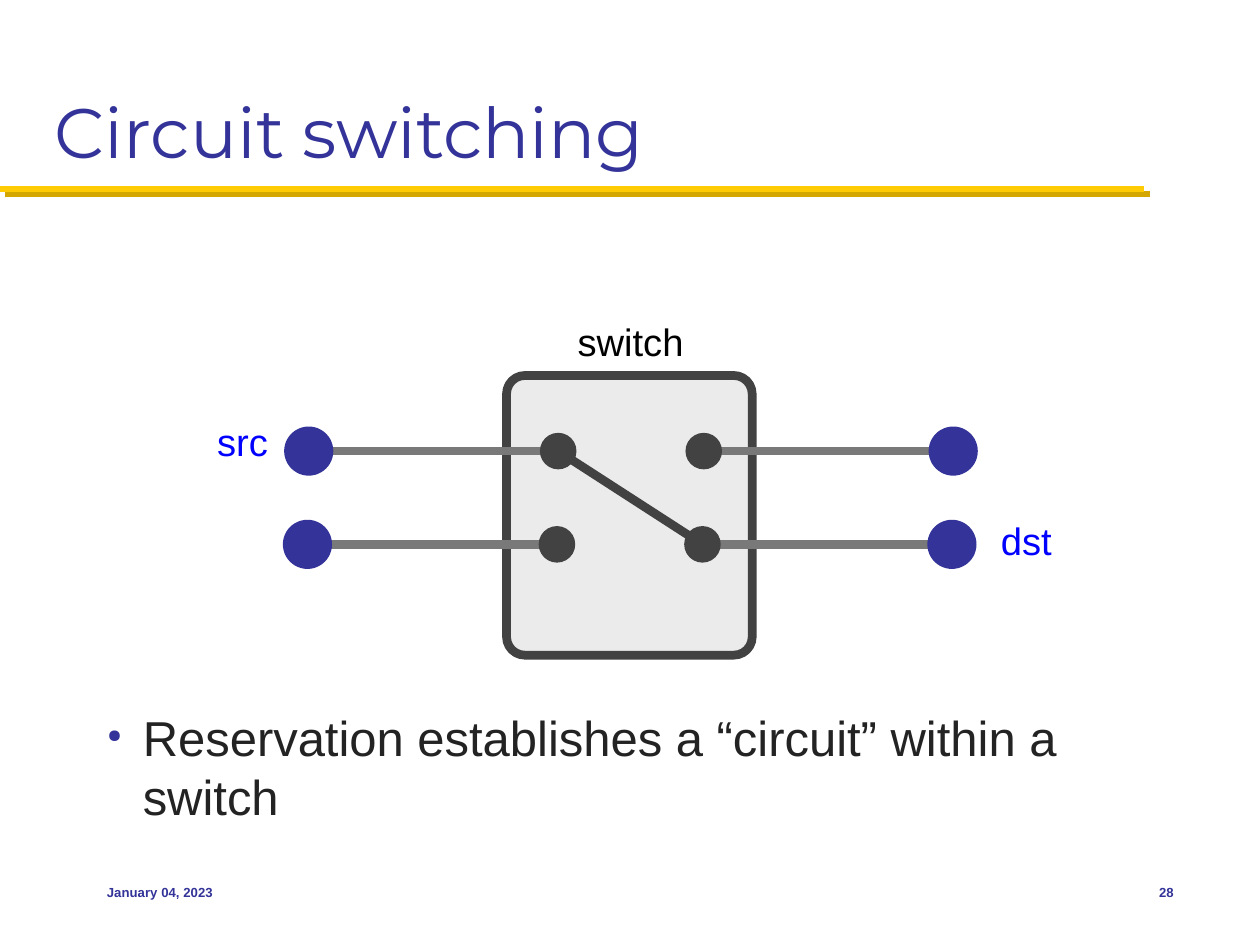
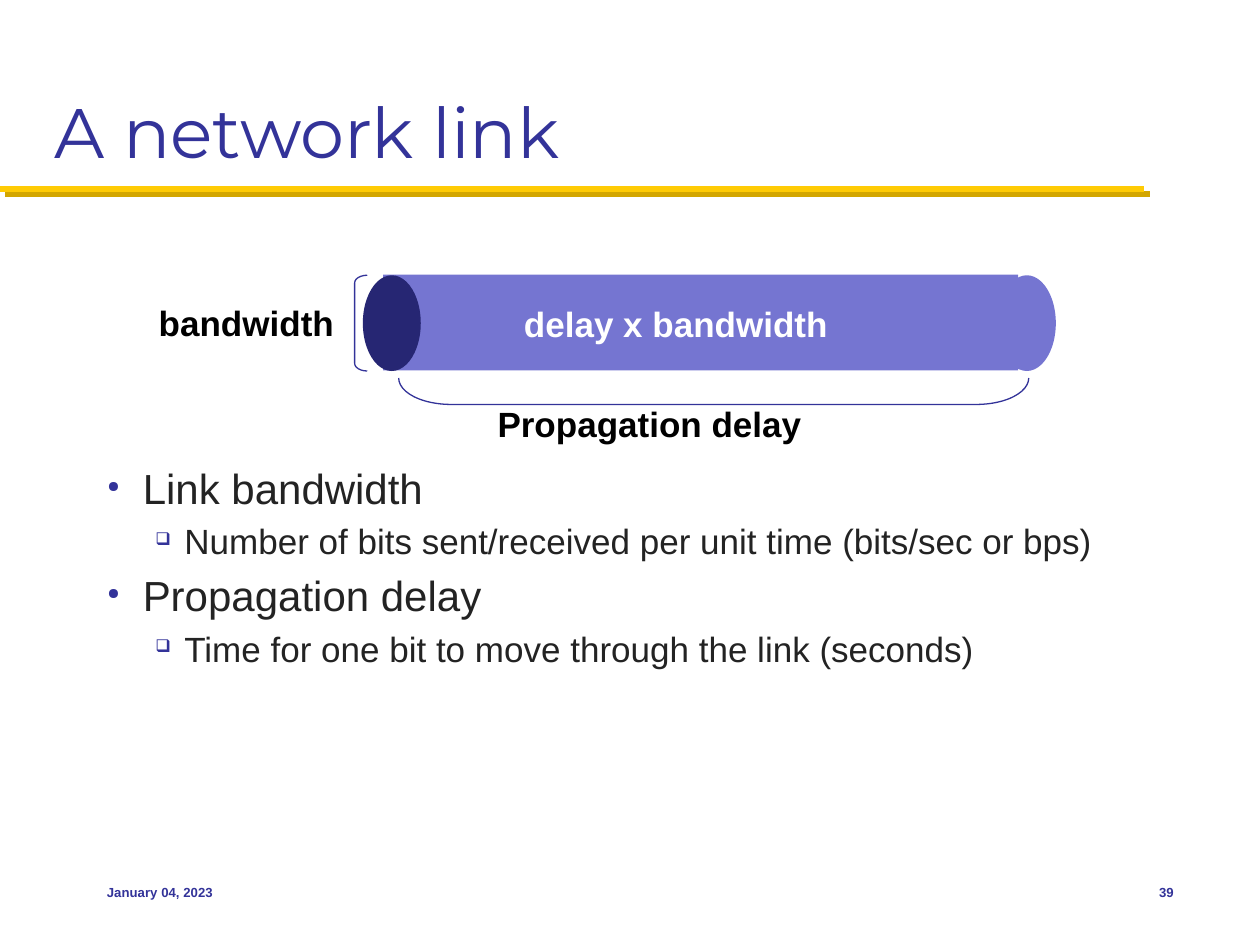
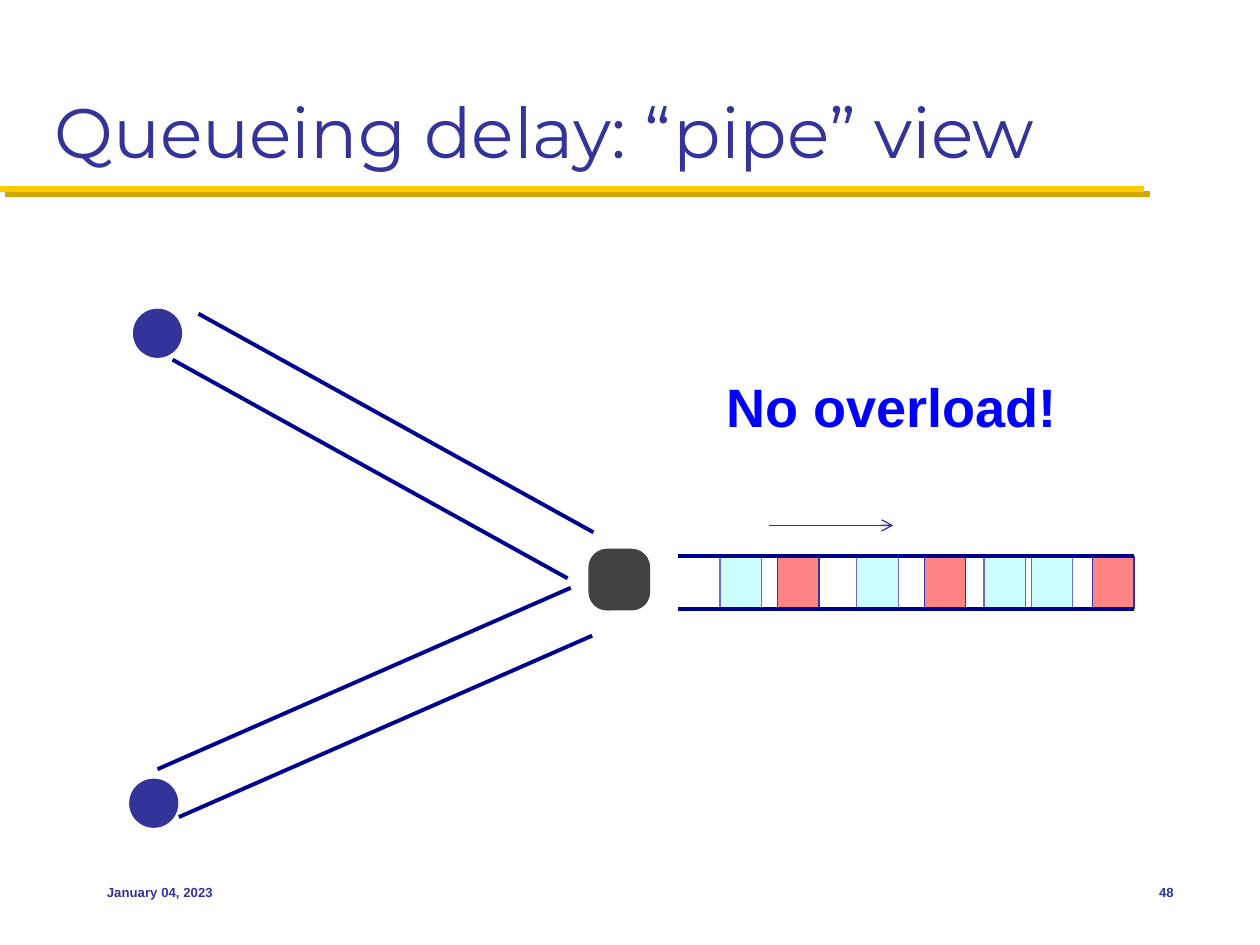
from collections import namedtuple

from lxml import etree
from pptx import Presentation
from pptx.dml.color import RGBColor
from pptx.enum.shapes import MSO_CONNECTOR, MSO_SHAPE
from pptx.enum.text import MSO_ANCHOR, MSO_AUTO_SIZE, PP_ALIGN
from pptx.oxml.ns import qn
from pptx.util import Inches, Pt

STRAIGHT = MSO_CONNECTOR.STRAIGHT
OVAL = MSO_SHAPE.OVAL
RECT = MSO_SHAPE.RECTANGLE
ROUND = MSO_SHAPE.ROUNDED_RECTANGLE
BRACKET = MSO_SHAPE.LEFT_BRACKET
TOP, MIDDLE, BOTTOM = MSO_ANCHOR.TOP, MSO_ANCHOR.MIDDLE, MSO_ANCHOR.BOTTOM
LEFT, CENTER, RIGHT = PP_ALIGN.LEFT, PP_ALIGN.CENTER, PP_ALIGN.RIGHT
FIXED = MSO_AUTO_SIZE.NONE

BLACK = RGBColor(0x00, 0x00, 0x00)
WHITE = RGBColor(0xFF, 0xFF, 0xFF)
INK = RGBColor(0x23, 0x23, 0x23)
INDIGO = RGBColor(0x33, 0x33, 0x99)
BLUE = RGBColor(0x00, 0x00, 0xFF)
NAVY = RGBColor(0x00, 0x00, 0x90)
DUSK = RGBColor(0x26, 0x26, 0x73)
LILAC = RGBColor(0x75, 0x75, 0xD1)
VIOLET = RGBColor(0x6A, 0x6A, 0xCD)
CYAN = RGBColor(0xCC, 0xFF, 0xFF)
CORAL = RGBColor(0xFF, 0x85, 0x85)
GOLD = RGBColor(0xFF, 0xCB, 0x05)
BRASS = RGBColor(0xD3, 0xA6, 0x00)
DARK = RGBColor(0x42, 0x42, 0x42)
GRAY = RGBColor(0x79, 0x79, 0x79)
PALE = RGBColor(0xEB, 0xEB, 0xEB)

WIDTH, HEIGHT = Inches(10), Inches(7.5)
COL, ROW = WIDTH / 100, HEIGHT / 75
HOST = 3.9
BULLETS = [("●", 37, 0.28, 0.28), ("❑", 50, 0.61, 0.23)]

Box = namedtuple("Box", "x y w h")


def inner(box, x, y, w, h):
    return Box(box.x + x, box.y + y, w, h)


def cells(box):
    return round(box.x * COL), round(box.y * ROW), round(box.w * COL), round(box.h * ROW)


def add_run(para, text, size, color, bold=False, face="Arial"):
    run = para.add_run()
    run.text = text
    run.font.name = face
    run.font.size = Pt(size)
    run.font.bold = bold
    run.font.color.rgb = color


def add_text(slide, box, text, size, color, bold=False, align=CENTER, anchor=MIDDLE):
    frame = slide.shapes.add_textbox(*cells(box)).text_frame
    frame.vertical_anchor = anchor
    frame.word_wrap = False
    para = frame.paragraphs[0]
    para.alignment = align
    add_run(para, text, size, color, bold)
    return frame


def add_part(slide, kind, box, fill=None, edge=None, weight=0.75, adjust=None):
    part = slide.shapes.add_shape(kind, *cells(box))
    part.shadow.inherit = False
    if fill is None:
        part.fill.background()
    else:
        part.fill.solid()
        part.fill.fore_color.rgb = fill
    if edge is None:
        part.line.fill.background()
    else:
        part.line.color.rgb = edge
        part.line.width = Pt(weight)
    if adjust is not None:
        part.adjustments[0] = adjust
    return part


def add_dot(slide, x, y, size, fill):
    add_part(slide, OVAL, Box(x - size / 2, y - size / 2, size, size), fill)


def add_line(slide, start, end, color, weight):
    ends = [round(n * unit) for n, unit in zip(start + end, (COL, ROW) * 2)]
    line = slide.shapes.add_connector(STRAIGHT, *ends)
    line.line.color.rgb = color
    line.line.width = Pt(weight)
    effect = etree.SubElement(line._element.spPr, qn("a:effectLst"))
    return line, effect


def add_frame(deck, title, number):
    slide = deck.slides.add_slide(deck.slide_layouts[5])
    effect = add_line(slide, (0, 15), (90.83, 15), GOLD, 3.5)[1]
    shade = etree.SubElement(effect, qn("a:outerShdw"), blurRad="0", dist=str(Pt(4.2)),
                             dir="2700000", algn="tl", rotWithShape="0")
    etree.SubElement(shade, qn("a:srgbClr"), val=str(BRASS))
    head = slide.shapes.title
    head.left, head.top, head.width, head.height = cells(Box(3.33, 1.67, 93.33, 12.5))
    frame = head.text_frame
    frame.auto_size = FIXED
    frame.vertical_anchor = BOTTOM
    para = frame.paragraphs[0]
    para.alignment = LEFT
    add_run(para, title, 40, INDIGO, face="Montserrat")
    add_text(slide, Box(7.5, 68.3, 20.8, 5), "January 04, 2023", 7.5, INDIGO, True, LEFT)
    add_text(slide, Box(87.5, 68.3, 6.65, 5), str(number), 7.5, INDIGO, True, RIGHT)
    return slide


def add_list(slide, box, items):
    frame = slide.shapes.add_textbox(*cells(box)).text_frame
    frame.word_wrap = True
    for i, (level, size, text) in enumerate(items):
        para = frame.add_paragraph() if i else frame.paragraphs[0]
        mark, share, left, hang = BULLETS[level]
        props = para._p.get_or_add_pPr()
        props.set("marL", str(Inches(left)))
        props.set("indent", str(-Inches(hang)))
        tint = etree.SubElement(props, qn("a:buClr"))
        etree.SubElement(tint, qn("a:srgbClr"), val=str(INDIGO))
        etree.SubElement(props, qn("a:buSzPct"), val=str(share * 1000))
        etree.SubElement(props, qn("a:buChar"), char=mark)
        para.level = level
        if i:
            para.space_before = Pt(0.19 * size)
        add_run(para, text, size, INK)


def add_switch(slide, box):
    add_part(slide, ROUND, inner(box, 23.4, 5, 19.5, 22.2), PALE, DARK, 5, 0.075)
    ports = []
    for shift, y in ((0, 11), (-0.1, 18.4)):
        ports.append([(box.x + x + shift, box.y + y) for x in (7.7, 27.5, 39.05, 58.85)])
    add_line(slide, ports[0][1], ports[1][2], DARK, 5)
    for src, near, far, dst in ports:
        add_line(slide, src, near, GRAY, 5)
        add_line(slide, far, dst, GRAY, 5)
        for spot in (src, dst):
            add_dot(slide, *spot, HOST, INDIGO)
        for spot in (near, far):
            add_dot(slide, *spot, 2.9, DARK)
    for text, x, y, w, color in (("switch", 28.6, 0, 9.3, BLACK),
                                 ("src", 0, 8, 4.9, BLUE),
                                 ("dst", 62.2, 15.8, 4.9, BLUE)):
        frame = add_text(slide, inner(box, x, y, w, 4.5), text, 21.8, color)
        frame.margin_left = frame.margin_right = Inches(0.03)
        frame.margin_top = frame.margin_bottom = Inches(0.04)


def add_pipe(slide, box):
    add_part(slide, OVAL, inner(box, 67.7, 0.05, 4.6, 7.6), LILAC)
    add_part(slide, RECT, inner(box, 18.9, 0, 50.4, 7.6), LILAC)
    add_part(slide, OVAL, inner(box, 17.3, 0.05, 4.6, 7.6), DUSK)
    add_part(slide, BRACKET, inner(box, 16.65, 0.05, 1, 7.6), edge=INDIGO, adjust=0.606)
    span = add_part(slide, BRACKET, inner(box, 44.1, -15.75, 2.1, 50), edge=INDIGO, adjust=1.983)
    span.rotation = 270
    for text, x, y, w, color in (("bandwidth", 0, 1.6, 16, BLACK),
                                 ("Propagation delay", 26.8, 9.65, 26.3, BLACK),
                                 ("delay x bandwidth", 28.9, 1.7, 26.3, WHITE)):
        add_text(slide, inner(box, x, y, w, 4.4), text, 20, color, True, RIGHT, TOP)


def add_feed(slide, box, start, gap):
    add_dot(slide, box.x + HOST / 2, box.y + HOST / 2, HOST, INDIGO)
    for n in range(2):
        x = box.x + start[0] + n * gap[0]
        y = box.y + start[1] + n * gap[1]
        add_line(slide, (x, y), (x + box.w, y + box.h), NAVY, 2.25)


def add_queue(slide, box):
    for fill, edge, spots in ((CYAN, VIOLET, (3.35, 14.2, 24.3, 28.05)),
                              (CORAL, INDIGO, (7.9, 19.55, 32.9))):
        for x in spots:
            add_part(slide, RECT, inner(box, x, 0, 3.3, box.h), fill, edge)
    for y in (box.y, box.y + box.h):
        add_line(slide, (box.x, y), (box.x + box.w, y), NAVY, 2.25)
    y = box.y - 2.45
    arrow = add_line(slide, (box.x + 7.25, y), (box.x + 17.1, y), INDIGO, 0.75)[0]
    etree.SubElement(arrow.line._get_or_add_ln(), qn("a:tailEnd"), type="arrow")


def main():
    deck = Presentation()
    deck.slide_width, deck.slide_height = WIDTH, HEIGHT

    slide = add_frame(deck, "Circuit switching", 28)
    add_switch(slide, Box(16.8, 24.8, 67.1, 27.2))
    add_list(slide, Box(7.55, 55.7, 86.7, 10),
             [(0, 28, "Reservation establishes a “circuit” within a switch")])

    slide = add_frame(deck, "A network link", 39)
    add_pipe(slide, Box(11.5, 21.8, 72.3, 14.1))
    add_list(slide, Box(7.55, 36.25, 86.7, 29.4), [
        (0, 24, "Link bandwidth"),
        (1, 20, "Number of bits sent/received per unit time (bits/sec or bps)"),
        (0, 24, "Propagation delay"),
        (1, 20, "Time for one bit to move through the link (seconds)"),
    ])

    slide = add_frame(deck, "Queueing delay: “pipe” view", 48)
    add_feed(slide, Box(10.55, 24.5, 31.35, 17.35), (5.2, 0.4), (-2.05, 3.65))
    add_feed(slide, Box(10.25, 61.8, 32.8, -14.4), (2.25, -0.75), (1.7, 3.8))
    add_part(slide, ROUND, Box(46.7, 43.55, 4.9, 4.9), DARK, adjust=0.3)
    add_queue(slide, Box(53.8, 44.15, 36.2, 4.15))
    add_text(slide, Box(56.7, 29.15, 34.2, 6.2), "No overload!", 30.9, BLUE, True, LEFT, TOP)

    deck.save("out.pptx")


if __name__ == "__main__":
    main()
